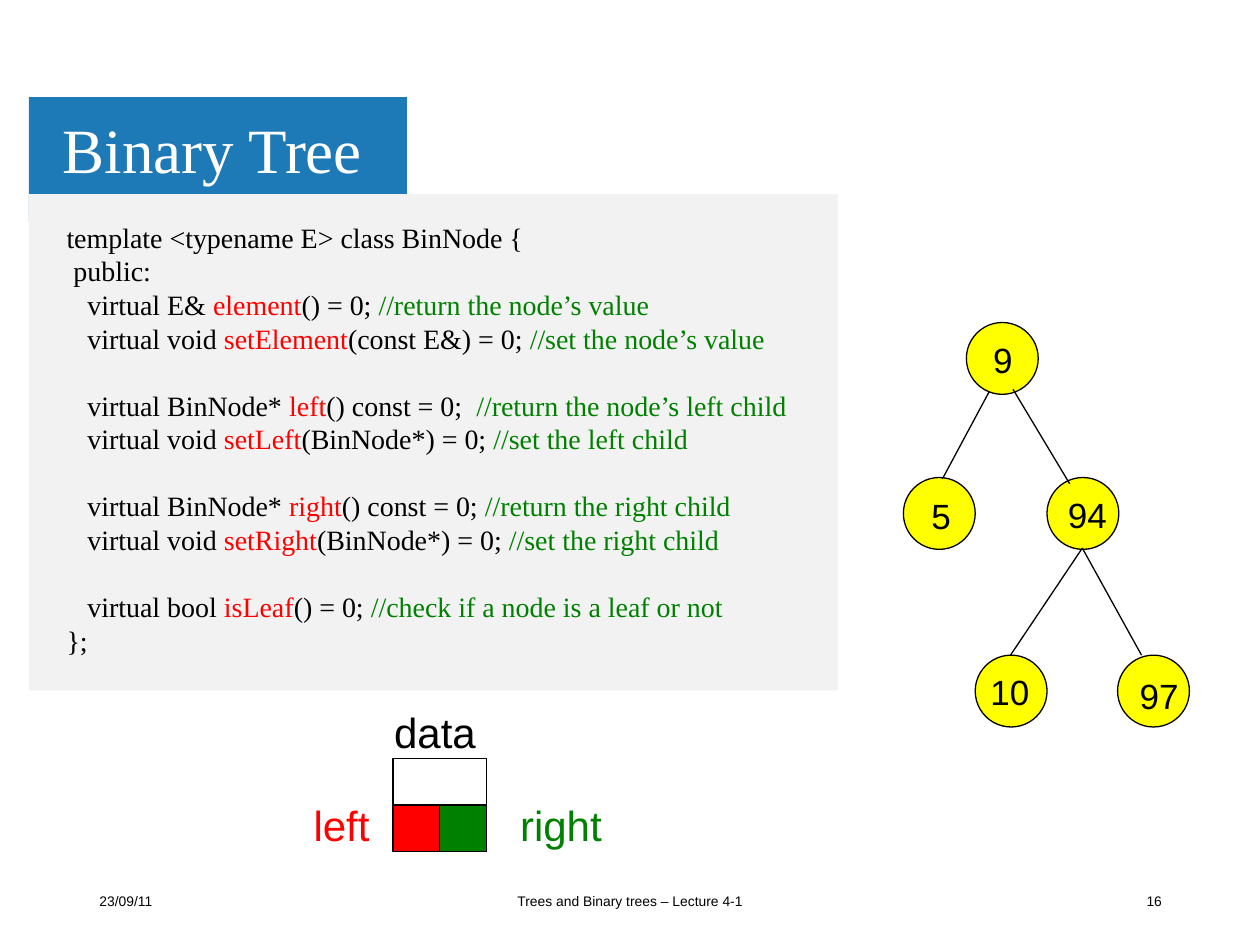
import pptx
import pptx.util
import pptx.dml.color
import pptx.enum.shapes
import pptx.enum.text
import lxml.etree

COLORS = {"blue": "1E7AB6", "gray": "F2F2F2", "white": "FFFFFF", "black": "000000",
          "red": "FF0000", "green": "008000", "yellow": "FFFF00"}
SERIF, SANS = "Times New Roman", "Arial"
WIDTH, HEIGHT = 10, 7.5
COLUMNS, ROWS = 100, 75
CODE_PITCH = 19.2

ALIGN = pptx.enum.text.PP_ALIGN
MIDDLE = pptx.enum.text.MSO_ANCHOR.MIDDLE
TOP = pptx.enum.text.MSO_ANCHOR.TOP
SHAPES = pptx.enum.shapes.MSO_SHAPE

PANELS = [("blue", (2.3, 7.7, 30, 9.9)), ("gray", (2.3, 15.4, 64.2, 39.4))]
TITLE = ("Binary Tree", (4, 8.2, 31.8, 7.9))
FOOTERS = [
    ("23/09/11", (6.9, 69.5, 22.5, 4), ALIGN.LEFT),
    ("Trees and Binary trees – Lecture 4-1", (33.1, 69.5, 33.8, 4), ALIGN.CENTER),
    ("16", (70.7, 69.5, 22.5, 4), ALIGN.RIGHT),
]
CODE_BOX = (4.3, 17, 61.3, 36.7)
CODE_GROUPS = [
    [
        ("template <typename E> class BinNode {",),
        (" public:",),
        ("   virtual E& ", "element", "() = 0; ", "//return the node’s value"),
        ("   virtual void ", "setElement", "(const E&) = 0; ", "//set the node’s value"),
    ],
    [
        ("   virtual BinNode* ", "left", "() const = 0;  ", "//return the node’s left child"),
        ("   virtual void ", "setLeft", "(BinNode*) = 0; ", "//set the left child"),
    ],
    [
        ("   virtual BinNode* ", "right", "() const = 0; ", "//return the right child"),
        ("   virtual void ", "setRight", "(BinNode*) = 0; ", "//set the right child"),
    ],
    [
        ("   virtual bool ", "isLeaf", "() = 0; ", "//check if a node is a leaf or not"),
        ("};",),
    ],
]
CODE_COLORS = ("black", "red", "black", "green")

FIELD = 3.7
FIELD_LEFT, FIELD_TOP = 31.2, 60.2
FIELDS = [("red", 0, 1, 1), ("green", 1, 1, 1), (None, 0, 0, 2)]
FIELD_LABELS = [("data", "black", (30.3, 55.6, 10, 5)),
                ("left", "red", (23.9, 63, 7, 5)),
                ("right", "green", (40.3, 63, 10, 5))]

NODE_SIZE = 5.7
NODES = [
    ("9", (76.7, 25.6), (77.1, 25.7, 5)),
    ("5", (71.7, 37.9), (72.2, 38.1, 5)),
    ("94", (83.1, 37.9), (82, 38, 8.6)),
    ("10", (77.4, 52), (76.8, 52.1, 6.7)),
    ("97", (88.7, 52), (87.7, 52.4, 8.6)),
]
EDGES = [
    ((78.5, 31.1), (74.8, 38)),
    ((80.4, 30.9), (84.9, 38.4)),
    ((85.9, 43.5), (80.2, 52)),
    ((85.9, 43.5), (90.6, 52)),
]

presentation = pptx.Presentation()
presentation.slide_width = pptx.util.Inches(WIDTH)
presentation.slide_height = pptx.util.Inches(HEIGHT)
slide = presentation.slides.add_slide(presentation.slide_layouts[6])


def place(*cells):
    scales = (WIDTH / COLUMNS, HEIGHT / ROWS) * 2
    return [pptx.util.Inches(cell * scale) for cell, scale in zip(cells, scales)]


def color(name):
    return pptx.dml.color.RGBColor.from_string(COLORS[name])


def style_line(line):
    line.color.rgb = color("black")
    line.width = pptx.util.Pt(0.75)


def style_font(font, size, name, color_name):
    font.size = pptx.util.Pt(size)
    font.name = name
    font.color.rgb = color(color_name)


def add_box(kind, box, fill, outlined=False):
    shape = slide.shapes.add_shape(kind, *place(*box))
    shape.shadow.inherit = False
    if fill:
        shape.fill.solid()
        shape.fill.fore_color.rgb = color(fill)
    else:
        shape.fill.background()
    if outlined:
        style_line(shape.line)
    else:
        shape.line.fill.background()


def add_text_frame(box, anchor=TOP):
    text_frame = slide.shapes.add_textbox(*place(*box)).text_frame
    text_frame.word_wrap = True
    text_frame.vertical_anchor = anchor
    return text_frame


def add_label(text, box, size, font_name, color_name, align=ALIGN.LEFT, anchor=TOP, spacing=None):
    text_frame = add_text_frame(box, anchor)
    text_frame.text = text
    paragraph = text_frame.paragraphs[0]
    paragraph.alignment = align
    paragraph.line_spacing = spacing
    style_font(paragraph.runs[0].font, size, font_name, color_name)


def add_edge(start, end):
    connector = slide.shapes.add_connector(
        pptx.enum.shapes.MSO_CONNECTOR.STRAIGHT, *place(*start, *end))
    style_line(connector.line)
    properties = connector.element.spPr
    lxml.etree.SubElement(properties, pptx.oxml.ns.qn("a:effectLst"))


def add_code():
    text_frame = add_text_frame(CODE_BOX)
    paragraph = text_frame.paragraphs[0]
    for group_index, group in enumerate(CODE_GROUPS):
        for line_index, pieces in enumerate(group):
            if group_index or line_index:
                paragraph = text_frame.add_paragraph()
            paragraph.line_spacing = pptx.util.Pt(CODE_PITCH)
            if group_index and not line_index:
                paragraph.space_before = pptx.util.Pt(CODE_PITCH)
            for piece, color_name in zip(pieces, CODE_COLORS):
                run = paragraph.add_run()
                run.text = piece
                style_font(run.font, 16, SERIF, color_name)


for fill, box in PANELS:
    add_box(SHAPES.RECTANGLE, box, fill)
add_label(*TITLE, 36, SERIF, "white", anchor=MIDDLE, spacing=0.9)
for text, box, align in FOOTERS:
    add_label(text, box, 7.9, SANS, "black", align, MIDDLE)

for fill, column, row, span in FIELDS:
    box = (FIELD_LEFT + column * FIELD, FIELD_TOP + row * FIELD, span * FIELD, FIELD)
    add_box(SHAPES.RECTANGLE, box, fill, outlined=True)
for text, color_name, box in FIELD_LABELS:
    add_label(text, box, 24, SANS, color_name)

for value, corner, label in NODES:
    add_box(SHAPES.OVAL, (*corner, NODE_SIZE, NODE_SIZE), "yellow", outlined=True)
for start, end in EDGES:
    add_edge(start, end)
for value, corner, label in NODES:
    add_label(value, (*label, 5), 20, SANS, "black", ALIGN.CENTER, spacing=1.2)

add_code()
presentation.save("out.pptx")
